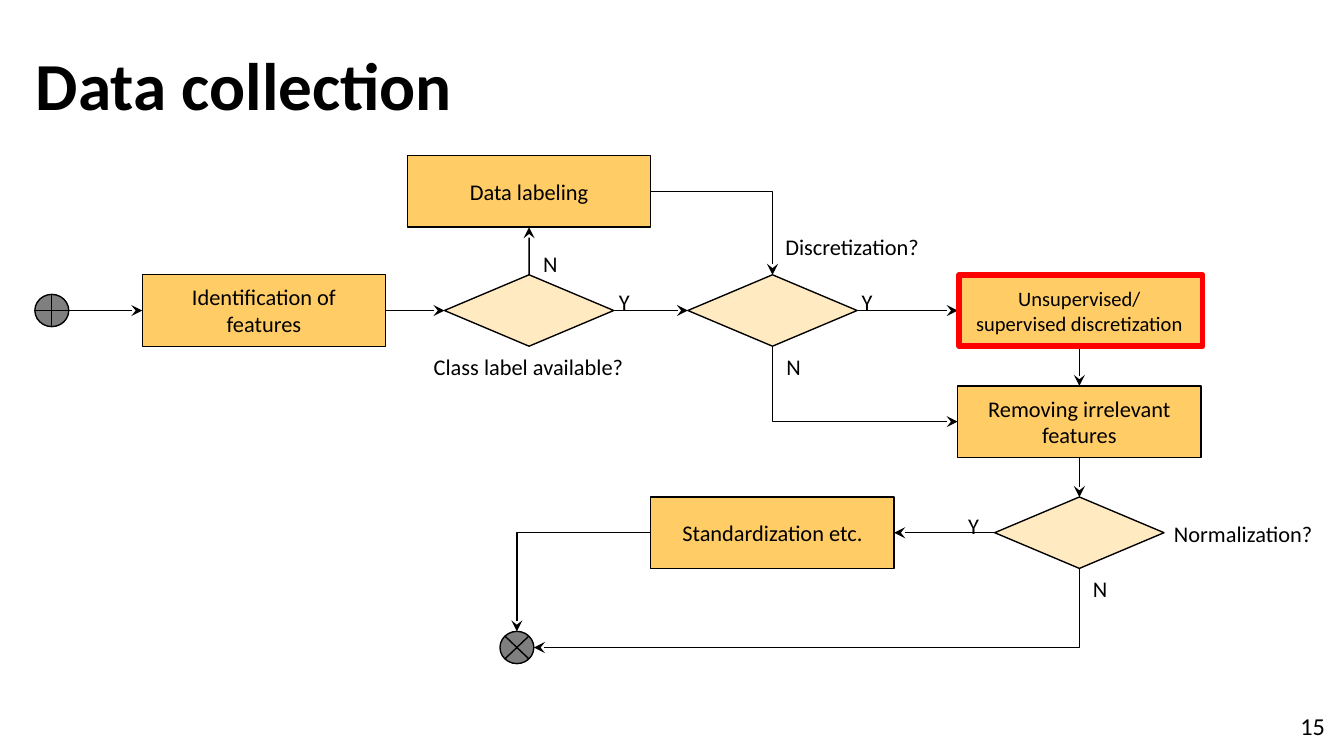
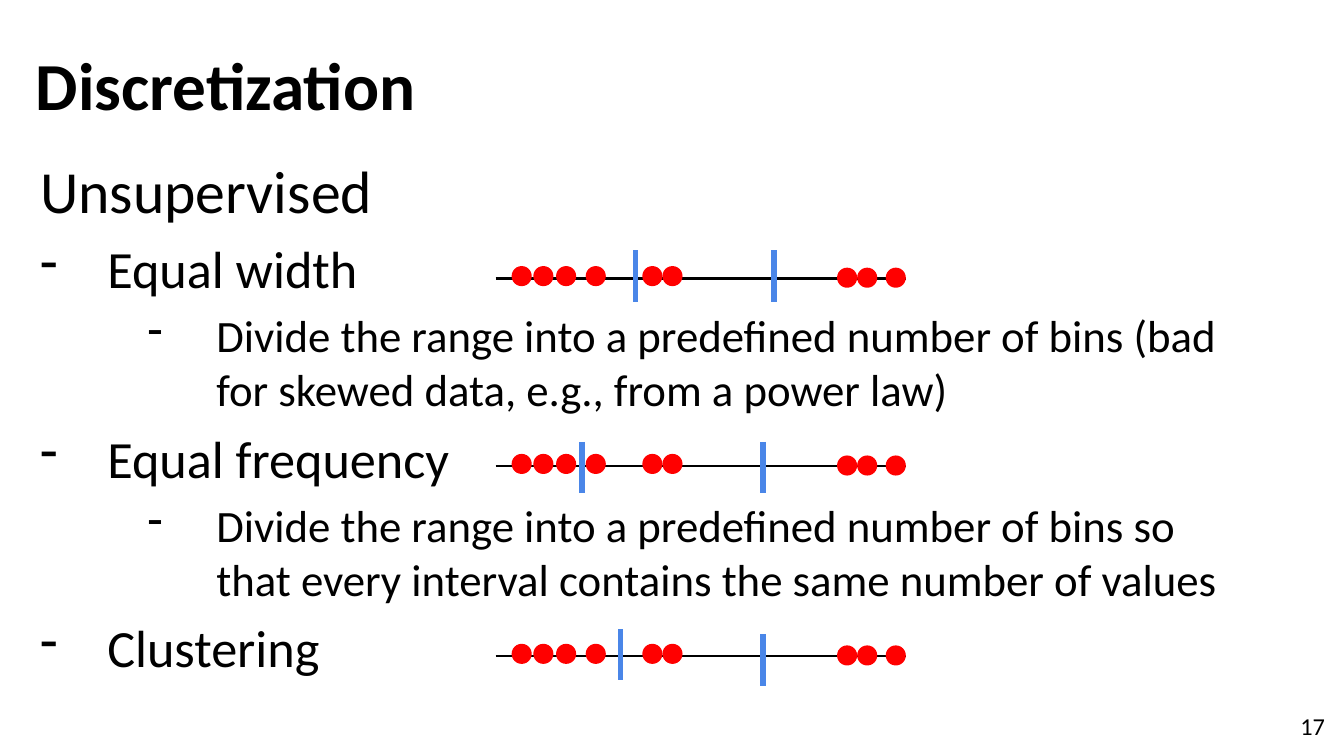
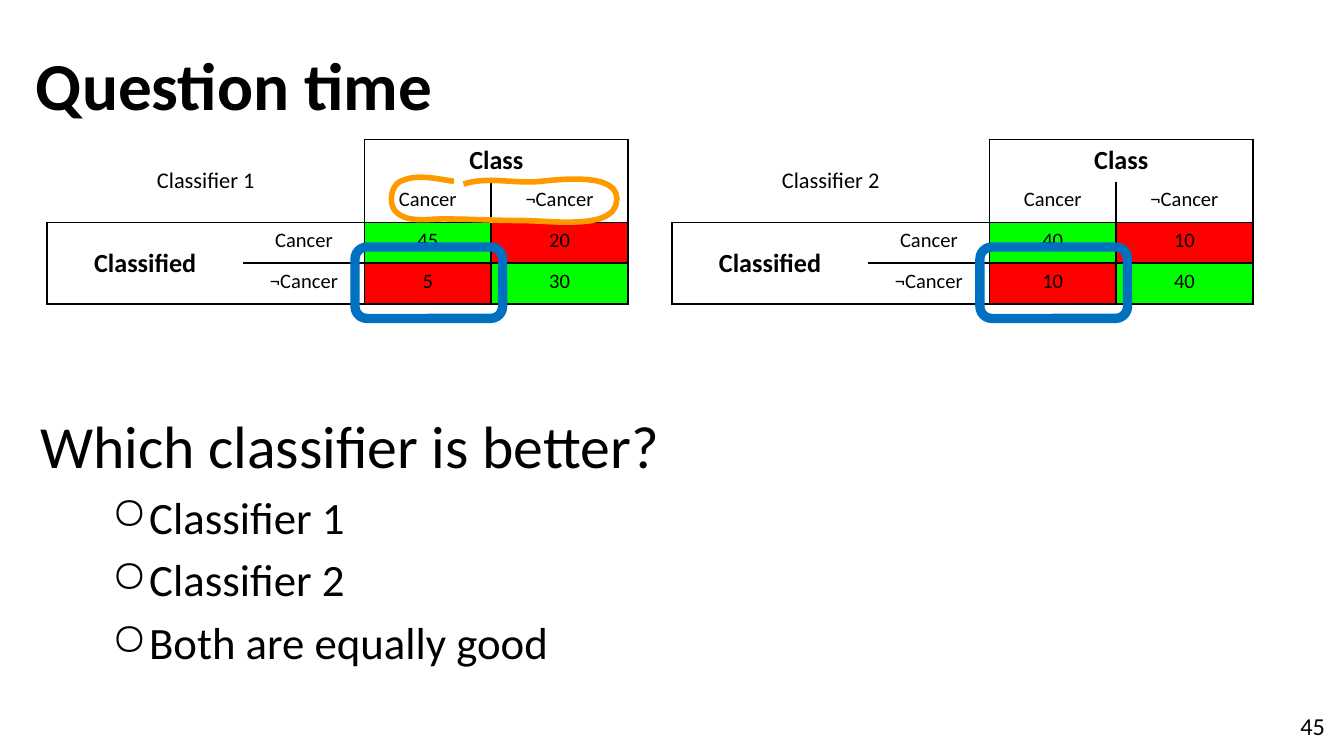
import pptx
import pptx.dml.color
import pptx.enum.shapes
import pptx.enum.text
import pptx.oxml.ns
import pptx.util
from lxml import etree

Cm = pptx.util.Cm
Pt = pptx.util.Pt
RGBColor = pptx.dml.color.RGBColor
SHAPE = pptx.enum.shapes.MSO_SHAPE
STRAIGHT = pptx.enum.shapes.MSO_CONNECTOR.STRAIGHT
ALIGN = pptx.enum.text.PP_ALIGN
ANCHOR = pptx.enum.text.MSO_ANCHOR
qn = pptx.oxml.ns.qn

BLACK = RGBColor(0x00, 0x00, 0x00)
AMBER = RGBColor(0xFF, 0xCC, 0x66)
GREY = RGBColor(0x7F, 0x7F, 0x7F)
RED = RGBColor(0xFF, 0x00, 0x00)
GREEN = RGBColor(0x00, 0xFF, 0x00)
SPLIT_BLUE = RGBColor(0x4A, 0x86, 0xE8)
FRAME_BLUE = RGBColor(0x00, 0x70, 0xC0)
ORANGE = RGBColor(0xFF, 0x99, 0x00)
FONT = "Calibri"

PROCESS, DECISION, JUNCTION = (4.6, 1.35), (3.2, 1.35), (0.64, 0.61)
SITES = {"top": 0, "left": 1, "bottom": 2, "right": 3}

NODES = {
    "start": (SHAPE.FLOWCHART_OR, JUNCTION, 0.32, 2.92, ""),
    "identify": (SHAPE.FLOWCHART_PROCESS, PROCESS, 4.33, 2.92, "Identification of features"),
    "labelled": (SHAPE.FLOWCHART_DECISION, DECISION, 9.34, 2.92, ""),
    "labeling": (SHAPE.FLOWCHART_PROCESS, PROCESS, 9.34, 0.67, "Data labeling"),
    "discrete": (SHAPE.FLOWCHART_DECISION, DECISION, 13.94, 2.92, ""),
    "discretize": (SHAPE.FLOWCHART_PROCESS, PROCESS, 19.74, 2.92,
                   "Unsupervised/ supervised discretization"),
    "remove": (SHAPE.FLOWCHART_PROCESS, PROCESS, 19.74, 5.02, "Removing irrelevant features"),
    "normal": (SHAPE.FLOWCHART_DECISION, DECISION, 19.74, 7.12, ""),
    "standardize": (SHAPE.FLOWCHART_PROCESS, PROCESS, 13.94, 7.12, "Standardization etc."),
    "end": (SHAPE.FLOWCHART_SUMMING_JUNCTION, JUNCTION, 9.11, 9.29, ""),
}
STRAIGHT_LINKS = [
    ("start", "right", "identify", "left"),
    ("identify", "right", "labelled", "left"),
    ("labelled", "top", "labeling", "bottom"),
    ("labelled", "right", "discrete", "left"),
    ("discrete", "right", "discretize", "left"),
    ("discretize", "bottom", "remove", "top"),
    ("remove", "bottom", "normal", "top"),
    ("normal", "left", "standardize", "right"),
]
BENT_LINKS = [
    ("labeling", "right", "discrete", "top"),
    ("discrete", "bottom", "remove", "left"),
    ("standardize", "left", "end", "top"),
    ("normal", "bottom", "end", "right"),
]
FLOW_LABELS = [
    ("Class label available?", 6.83, 3.6, 5.0),
    ("Discretization?", 13.64, 1.34, 3.61),
    ("Normalization?", 21.03, 6.75, 3.61),
    ("N", 8.84, 1.65, 1.8),
    ("Y", 10.24, 2.38, 1.8),
    ("Y", 14.83, 2.38, 1.8),
    ("N", 13.44, 3.6, 1.8),
    ("Y", 16.84, 6.6, 1.8),
    ("N", 19.23, 7.79, 1.8),
]

DASH, RING = "-", "○"
METHOD = (28, 0, 1.27, -1.27, 5.6, DASH)
DETAIL = (24, 1, 3.33, -1.3, 4.8, DASH)
ANSWER = (24, 1, 2.06, -0.71, 4.8, RING)
HEADING = (32, 0, 0, 0, 0, None)

DOTS = [(x, -0.23) for x in (0.3, 0.71, 1.14, 1.7, 2.77, 3.15)]
DOTS += [(x, -0.2) for x in (6.45, 6.83, 7.37)]
NUMBER_LINES = [
    (5.26, [(2.64, -0.53), (5.26, -0.53)]),
    (8.81, [(1.63, -0.46), (5.05, -0.46)]),
    (12.4, [(2.36, -0.51), (5.05, -0.41)]),
]

COLUMNS = (3.71, 2.29, 2.39, 2.59)
ROW_HEIGHT = 0.77
BORDERS = [
    ["RB", "RB", "LTR", "LTR"],
    ["RB", "RB", "LRB", "LRB"],
    ["LTB", "TRB", "LTRB", "LTRB"],
    ["LTB", "TRB", "LTRB", "LTRB"],
]
LOOP_START = (1.19, 0.1)
LOOP_CURVES = [
    ((0.86, 0.05), (0.48, -0.05), (0.18, 0.1)),
    ((0, 0.18), (-0.05, 0.51), (0.08, 0.66)),
    ((0.28, 0.89), (0.69, 0.81), (0.99, 0.81)),
    ((1.47, 0.81), (1.98, 0.84), (2.46, 0.84)),
    ((3.07, 0.84), (4.27, 1.04), (4.27, 0.43)),
    ((4.27, -0.05), (3.3, 0.05), (2.82, 0.1)),
    ((2.34, 0.15), (1.83, 0), (1.37, 0.15)),
]


def add_span(para, text, size, bold=False):
    span = para.add_run()
    span.text = text
    span.font.name = FONT
    span.font.size = Pt(size)
    span.font.bold = bold
    span.font.color.rgb = BLACK


def add_text(page, left, top, width, height, text, size, bold=False,
             align=ALIGN.LEFT, anchor=ANCHOR.TOP):
    box = page.shapes.add_textbox(Cm(left), Cm(top), Cm(width), Cm(height))
    frame = box.text_frame
    frame.word_wrap = True
    frame.vertical_anchor = anchor
    frame.paragraphs[0].alignment = align
    add_span(frame.paragraphs[0], text, size, bold)


def add_figure(page, kind, left, top, width, height, fill=None, line=None, weight=0.75):
    shape = page.shapes.add_shape(kind, Cm(left), Cm(top), Cm(width), Cm(height))
    shape.shadow.inherit = False
    paint(shape, fill, line, weight)
    return shape


def paint(shape, fill, line, weight):
    if fill is None:
        shape.fill.background()
    else:
        shape.fill.solid()
        shape.fill.fore_color.rgb = fill
    if line is None:
        shape.line.fill.background()
    else:
        shape.line.color.rgb = line
        shape.line.width = Pt(weight)


def add_line(page, begin, end, color=BLACK, weight=0.75, arrow=False):
    line = page.shapes.add_connector(STRAIGHT, *begin, *end)
    line.line.color.rgb = color
    line.line.width = Pt(weight)
    if arrow:
        etree.SubElement(line.line._get_or_add_ln(), qn("a:tailEnd"), type="stealth")
    etree.SubElement(line._element.spPr, qn("a:effectLst"))
    return line


def add_bent_arrow(page, begin, end, down_first):
    turn = None
    if down_first:
        middle_x, middle_y = (begin[0] + end[0]) // 2, (begin[1] + end[1]) // 2
        half_x, half_y = abs(end[0] - begin[0]) // 2, (end[1] - begin[1]) // 2
        turn = 90
        if end[0] > begin[0]:
            turn, half_y = 270, -half_y
        begin = middle_x - half_y, middle_y - half_x
        end = middle_x + half_y, middle_y + half_x
    arrow = add_line(page, begin, end, arrow=True)
    properties = arrow._element.spPr
    properties.find(qn("a:prstGeom")).set("prst", "bentConnector2")
    if turn:
        properties.find(qn("a:xfrm")).set("rot", str(turn * 60000))


def side_point(shape, side):
    x = {"left": 0, "right": shape.width}.get(side, shape.width // 2)
    y = {"top": 0, "bottom": shape.height}.get(side, shape.height // 2)
    return shape.left + x, shape.top + y


def add_node(page, left, top, kind, size, x, y, text):
    width, height = size
    fill = GREY if size == JUNCTION else AMBER
    node = add_figure(page, kind, left + x - width / 2, top + y - height / 2,
                      width, height, fill, BLACK)
    if size == DECISION:
        color = node._element.spPr.find(".//" + qn("a:srgbClr"))
        etree.SubElement(color, qn("a:alpha"), val="40000")
    if text:
        frame = node.text_frame
        frame.word_wrap = True
        frame.vertical_anchor = ANCHOR.MIDDLE
        frame.paragraphs[0].alignment = ALIGN.CENTER
        add_span(frame.paragraphs[0], text, 11 if text.startswith("Unsupervised") else 12)
    return node


def add_flowchart(page, left, top):
    nodes = {name: add_node(page, left, top, *node) for name, node in NODES.items()}
    for source, leaving, target, entering in STRAIGHT_LINKS:
        arrow = add_line(page, side_point(nodes[source], leaving),
                         side_point(nodes[target], entering), arrow=True)
        if source != "start":
            arrow.begin_connect(nodes[source], SITES[leaving])
        arrow.end_connect(nodes[target], SITES[entering])
    for source, leaving, target, entering in BENT_LINKS:
        add_bent_arrow(page, side_point(nodes[source], leaving),
                       side_point(nodes[target], entering), leaving == "bottom")
    for text, x, y, width in FLOW_LABELS:
        add_text(page, left + x, top + y, width, 0.61, text, 12, align=ALIGN.CENTER)
    _, (width, height), x, y, _ = NODES["discretize"]
    add_figure(page, SHAPE.FLOWCHART_PROCESS, left + x - width / 2 + 0.03,
               top + y - height / 2, width, height, line=RED, weight=3)


def add_outline(page, left, top, width, height, items):
    box = page.shapes.add_textbox(Cm(left), Cm(top), Cm(width), Cm(height))
    frame = box.text_frame
    frame.word_wrap = True
    for index, (text, style) in enumerate(items):
        size, level, margin, indent, before, bullet = style
        para = frame.add_paragraph() if index else frame.paragraphs[0]
        para.level = level
        if index:
            para.space_before = Pt(before)
        if bullet:
            properties = para._p.get_or_add_pPr()
            properties.set("marL", str(Cm(margin)))
            properties.set("indent", str(Cm(indent)))
            color = etree.SubElement(properties, qn("a:buClr"))
            etree.SubElement(color, qn("a:srgbClr"), val=str(BLACK))
            etree.SubElement(properties, qn("a:buChar"), char=bullet)
        add_span(para, text, size)


def add_number_line(page, left, top, width, splits):
    add_line(page, (Cm(left), Cm(top)), (Cm(left + width), Cm(top)), weight=1.5)
    for x, y in DOTS:
        add_figure(page, SHAPE.OVAL, left + x, top + y, 0.38, 0.38, RED)
    for x, y in splits:
        add_line(page, (Cm(left + x), Cm(top + y)), (Cm(left + x), Cm(top + y + 0.97)),
                 SPLIT_BLUE, 3)


def set_borders(cell, sides):
    properties = cell._tc.get_or_add_tcPr()
    for side in "LRTB":
        border = etree.SubElement(properties, qn("a:ln" + side), w=str(Pt(1)))
        if side in sides:
            fill = etree.SubElement(border, qn("a:solidFill"))
            etree.SubElement(fill, qn("a:srgbClr"), val=str(BLACK))
        else:
            etree.SubElement(border, qn("a:noFill"))


def add_confusion_matrix(page, left, top, name, counts):
    frame = page.shapes.add_table(4, 4, Cm(left), Cm(top), Cm(sum(COLUMNS)), Cm(4 * ROW_HEIGHT))
    table = frame.table
    table.first_row = table.horz_banding = False
    for column, width in zip(table.columns, COLUMNS):
        column.width = Cm(width)
    for row in table.rows:
        row.height = Cm(ROW_HEIGHT)
    table.cell(0, 0).merge(table.cell(1, 1))
    table.cell(0, 2).merge(table.cell(0, 3))
    table.cell(2, 0).merge(table.cell(3, 0))
    texts = [
        [name, "", "Class", ""],
        ["", "", "Cancer", "¬Cancer"],
        ["Classified", "Cancer", *counts[0]],
        ["", "¬Cancer", *counts[1]],
    ]
    for r, row_texts in enumerate(texts):
        for c, text in enumerate(row_texts):
            cell = table.cell(r, c)
            set_borders(cell, BORDERS[r][c])
            cell.margin_top = cell.margin_bottom = Cm(0.1)
            if r >= 2 and c >= 2:
                cell.fill.solid()
                cell.fill.fore_color.rgb = GREEN if r == c else RED
            else:
                cell.fill.background()
            if text:
                bold = text in ("Class", "Classified")
                size = 14 if bold else 12 if text == name else 11
                if size > 11:
                    cell.vertical_anchor = ANCHOR.MIDDLE
                para = cell.text_frame.paragraphs[0]
                para.alignment = ALIGN.CENTER
                add_span(para, str(text), size, bold)
    frame_box = add_figure(page, SHAPE.ROUNDED_RECTANGLE, left + 5.82, top + 2.03,
                           2.79, 1.35, line=FRAME_BLUE, weight=5)
    frame_box.adjustments[0] = 0.167


def curve_points(start, curves, steps=12):
    for first, second, end in curves:
        for step in range(1, steps + 1):
            t = step / steps
            u = 1 - t
            yield tuple(u ** 3 * a + 3 * u * u * t * b + 3 * u * t * t * c + t ** 3 * d
                        for a, b, c, d in zip(start, first, second, end))
        start = end


def add_hand_loop(page, left, top):
    def place(point):
        return Cm(left + point[0]), Cm(top + point[1])

    builder = page.shapes.build_freeform(*place(LOOP_START))
    builder.add_line_segments([place(point) for point in curve_points(LOOP_START, LOOP_CURVES)],
                              close=False)
    loop = builder.convert_to_shape()
    loop.shadow.inherit = False
    paint(loop, None, ORANGE, 3)


def add_page(deck, title, number):
    page = deck.slides.add_slide(deck.slide_layouts[6])
    add_text(page, 0.43, 0.64, 23.06, 1.9, title, 36, True, anchor=ANCHOR.MIDDLE)
    add_text(page, 23.77, 13.18, 1.52, 1.09, number, 13, align=ALIGN.RIGHT, anchor=ANCHOR.MIDDLE)
    return page


def build_collection(deck):
    page = add_page(deck, "Data collection", "15")
    add_flowchart(page, 0.66, 2.95)


def build_discretization(deck):
    page = add_page(deck, "Discretization", "17")
    add_outline(page, 0.51, 2.79, 23.06, 10.46, [
        ("Unsupervised", HEADING),
        ("Equal width", METHOD),
        ("Divide the range into a predefined number of bins (bad for skewed data, "
         "e.g., from a power law)", DETAIL),
        ("Equal frequency", METHOD),
        ("Divide the range into a predefined number of bins so that every interval "
         "contains the same number of values", DETAIL),
        ("Clustering", METHOD),
    ])
    for top, splits in NUMBER_LINES:
        add_number_line(page, 9.37, top, 7.75, splits)


def build_question(deck):
    page = add_page(deck, "Question time", "45")
    add_outline(page, 0.51, 7.6, 23.06, 5.65, [
        ("Which classifier is better?", HEADING),
        ("Classifier 1", ANSWER),
        ("Classifier 2", ANSWER),
        ("Both are equally good", ANSWER),
    ])
    add_confusion_matrix(page, 0.89, 2.64, "Classifier 1", [(45, 20), (5, 30)])
    add_confusion_matrix(page, 12.7, 2.64, "Classifier 2", [(40, 10), (10, 40)])
    add_hand_loop(page, 7.39, 3.33)


def main():
    deck = pptx.Presentation()
    deck.slide_width = Cm(25.4)
    deck.slide_height = Cm(14.29)
    build_collection(deck)
    build_discretization(deck)
    build_question(deck)
    deck.save("out.pptx")


if __name__ == "__main__":
    main()
